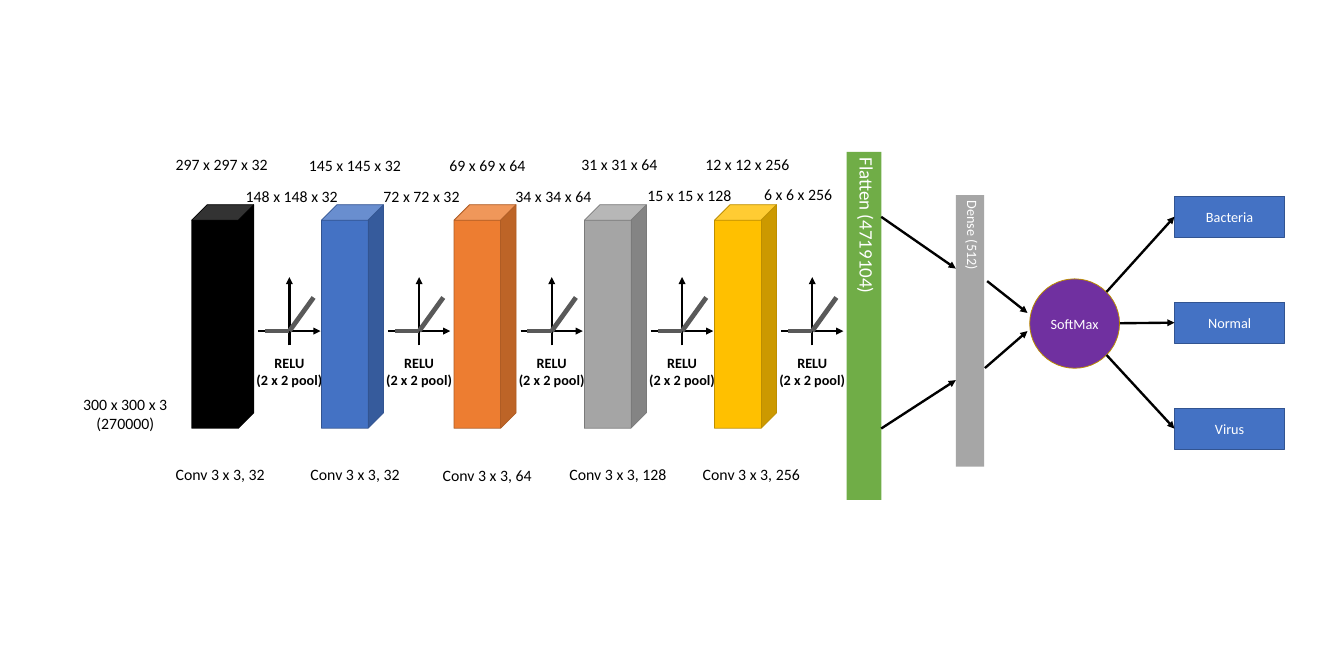
from lxml import etree
from pptx import Presentation
from pptx.dml.color import RGBColor
from pptx.enum.shapes import MSO_CONNECTOR, MSO_SHAPE
from pptx.enum.text import MSO_ANCHOR as ANCHOR, MSO_AUTO_SIZE as AUTO, PP_ALIGN as ALIGN
from pptx.oxml.ns import qn
from pptx.util import Cm, Pt

BLACK = RGBColor(0x00, 0x00, 0x00)
WHITE = RGBColor(0xFF, 0xFF, 0xFF)
DARK_GRAY = RGBColor(0x59, 0x59, 0x59)
GRAY = RGBColor(0xA5, 0xA5, 0xA5)
GRAY_EDGE = RGBColor(0x7A, 0x7A, 0x7A)
DENSE_GRAY = RGBColor(0xA6, 0xA6, 0xA6)
BLUE = RGBColor(0x44, 0x72, 0xC4)
BLUE_EDGE = RGBColor(0x32, 0x54, 0x91)
ORANGE = RGBColor(0xED, 0x7D, 0x31)
ORANGE_EDGE = RGBColor(0xAF, 0x5C, 0x24)
GOLD = RGBColor(0xFF, 0xC0, 0x00)
GOLD_EDGE = RGBColor(0xBD, 0x8E, 0x00)
GREEN = RGBColor(0x70, 0xAD, 0x47)
PURPLE = RGBColor(0x70, 0x30, 0xA0)

# Cube left, fill, edge; then (text, left, top) of its three labels
LAYERS = [
    (8.56, BLACK, BLACK, ("Conv 3 x 3, 32", 7.59, 20.62),
     ("297 x 297 x 32", 7.59, 6.78), ("148 x 148 x 32", 10.72, 8.2)),
    (14.35, BLUE, BLUE_EDGE, ("Conv 3 x 3, 32", 13.61, 20.62),
     ("145 x 145 x 32", 13.54, 6.81), ("72 x 72 x 32", 16.87, 8.2)),
    (20.27, ORANGE, ORANGE_EDGE, ("Conv 3 x 3, 64", 19.51, 20.65),
     ("69 x 69 x 64", 19.81, 6.83), ("34 x 34 x 64", 22.76, 8.2)),
    (26.09, GRAY, GRAY_EDGE, ("Conv 3 x 3, 128", 25.17, 20.62),
     ("31 x 31 x 64", 25.7, 6.78), ("15 x 15 x 128", 28.65, 8.15)),
    (31.9, GOLD, GOLD_EDGE, ("Conv 3 x 3, 256", 31.12, 20.62),
     ("12 x 12 x 256", 31.24, 6.78), ("6 x 6 x 256", 33.86, 8.1)),
]
CUBE_TOP, CUBE_WIDTH, CUBE_HEIGHT = 9.14, 2.77, 9.98
RELU_OFFSET, RELU_Y = 4.36, 14.78

CLASSES = ["Bacteria", "Normal", "Virus"]
CLASS_LEFT, CLASS_TOP, CLASS_STEP = 52.43, 8.76, 4.73
CLASS_WIDTH, CLASS_HEIGHT = 4.93, 1.83

# Start x, start y, end x, end y
DENSE_ARROWS = [
    (39.34, 9.68, 42.67, 11.99), (39.34, 19.13, 42.67, 16.97),
    (44.07, 12.55, 45.87, 13.97), (43.97, 16.43, 45.87, 14.78),
]
SOFTMAX_EXITS = [(49.4, 13.03), (49.99, 14.43), (49.4, 15.85)]


def write(shape, *lines, size=20, color=BLACK, bold=False, align=ALIGN.CENTER,
          anchor=ANCHOR.TOP, wrap=True, vertical=False, fit=AUTO.NONE):
    tf = shape.text_frame
    tf.word_wrap = wrap
    tf.auto_size = fit
    tf.vertical_anchor = anchor
    if vertical:
        tf._txBody.bodyPr.set("vert", "eaVert")
    for i, line in enumerate(lines):
        p = tf.paragraphs[0] if i == 0 else tf.add_paragraph()
        p.alignment = align
        r = p.add_run()
        r.text = line
        r.font.name = "Calibri"
        r.font.size = Pt(size)
        r.font.bold = bold
        r.font.color.rgb = color


def add_text(shapes, left, top, width, height, *lines, **style):
    box = shapes.add_textbox(Cm(left), Cm(top), Cm(width), Cm(height))
    write(box, *lines, wrap=False, **style)


def add_label(shapes, text, left, top):
    """One-line label whose box width follows the text length."""
    add_text(shapes, left, top, 0.36 * len(text) - 0.4, 1.12, text, align=ALIGN.LEFT)


def add_block(shapes, kind, left, top, width, height, fill, edge=None):
    sp = shapes.add_shape(kind, Cm(left), Cm(top), Cm(width), Cm(height))
    sp.shadow.inherit = False
    sp.fill.solid()
    sp.fill.fore_color.rgb = fill
    if edge is None:
        sp.line.fill.background()
    else:
        sp.line.color.rgb = edge
        sp.line.width = Pt(1)
    return sp


def add_line(shapes, x1, y1, x2, y2, color=BLACK, width=3, arrow=True):
    line = shapes.add_connector(MSO_CONNECTOR.STRAIGHT, Cm(x1), Cm(y1), Cm(x2), Cm(y2))
    line.line.color.rgb = color
    line.line.width = Pt(width)
    if arrow:
        etree.SubElement(line.line._get_or_add_ln(), qn("a:tailEnd"), type="triangle")
    etree.SubElement(line._element.spPr, qn("a:effectLst"))
    return line


def add_relu(shapes, x, y):
    """Activation plot with its origin at (x, y) and a caption below."""
    plot = shapes.add_group_shape().shapes
    add_line(plot, x - 1.39, y, x + 1.39, y)
    add_line(plot, x, y + 0.64, x, y - 2.41)
    add_line(plot, x - 1.08, y, x, y, DARK_GRAY, 6, arrow=False)
    add_line(plot, x, y, x + 1.08, y - 1.5, DARK_GRAY, 6, arrow=False)
    add_text(plot, x - 2.46, y + 0.92, 4.92, 2.54, "RELU", "(2 x 2 pool)", size=18, bold=True)


def add_layers(shapes):
    for left, fill, edge, *labels in LAYERS:
        add_block(shapes, MSO_SHAPE.CUBE, left, CUBE_TOP, CUBE_WIDTH, CUBE_HEIGHT, fill, edge)
        add_relu(shapes, left + RELU_OFFSET, RELU_Y)
        for label in labels:
            add_label(shapes, *label)


def add_classifier(shapes):
    flatten = add_block(shapes, MSO_SHAPE.RECTANGLE, 37.8, 6.78, 1.55, 15.54, GREEN)
    write(flatten, "Flatten (4719104)", size=24, color=WHITE, vertical=True, fit=AUTO.SHAPE_TO_FIT_TEXT)
    dense = add_block(shapes, MSO_SHAPE.RECTANGLE, 42.67, 8.71, 1.27, 12.12, DENSE_GRAY)
    write(dense, "Dense (512)", size=18, color=WHITE, vertical=True, fit=AUTO.SHAPE_TO_FIT_TEXT)
    softmax = add_block(shapes, MSO_SHAPE.OVAL, 45.97, 12.45, 4.01, 3.99, PURPLE, GOLD_EDGE)
    write(softmax, "SoftMax", size=18, color=WHITE, anchor=ANCHOR.MIDDLE)
    for arrow in DENSE_ARROWS:
        add_line(shapes, *arrow)
    for i, (name, (x, y)) in enumerate(zip(CLASSES, SOFTMAX_EXITS)):
        top = CLASS_TOP + i * CLASS_STEP
        box = add_block(shapes, MSO_SHAPE.RECTANGLE, CLASS_LEFT, top,
                        CLASS_WIDTH, CLASS_HEIGHT, BLUE, BLUE_EDGE)
        write(box, name, size=18, color=WHITE, anchor=ANCHOR.MIDDLE)
        add_line(shapes, x, y, CLASS_LEFT, top + CLASS_HEIGHT / 2).end_connect(box, 1)


def main():
    prs = Presentation()
    prs.slide_width, prs.slide_height = Cm(60), Cm(30)
    shapes = prs.slides.add_slide(prs.slide_layouts[6]).shapes
    add_layers(shapes)
    add_classifier(shapes)
    add_text(shapes, 3.45, 17.5, 4.29, 1.96, "300 x 300 x 3", "(270000)")
    prs.save("out.pptx")


if __name__ == "__main__":
    main()
